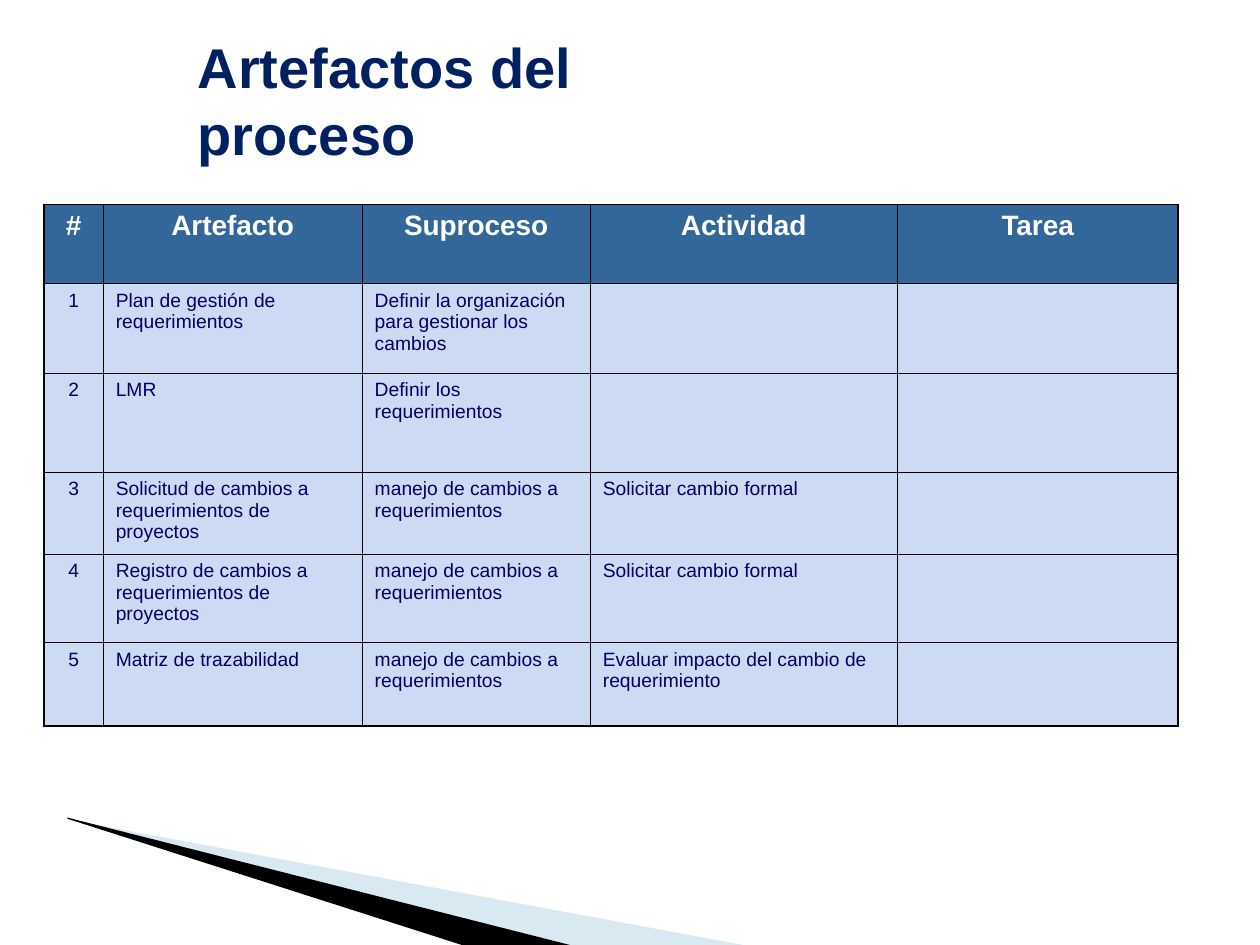
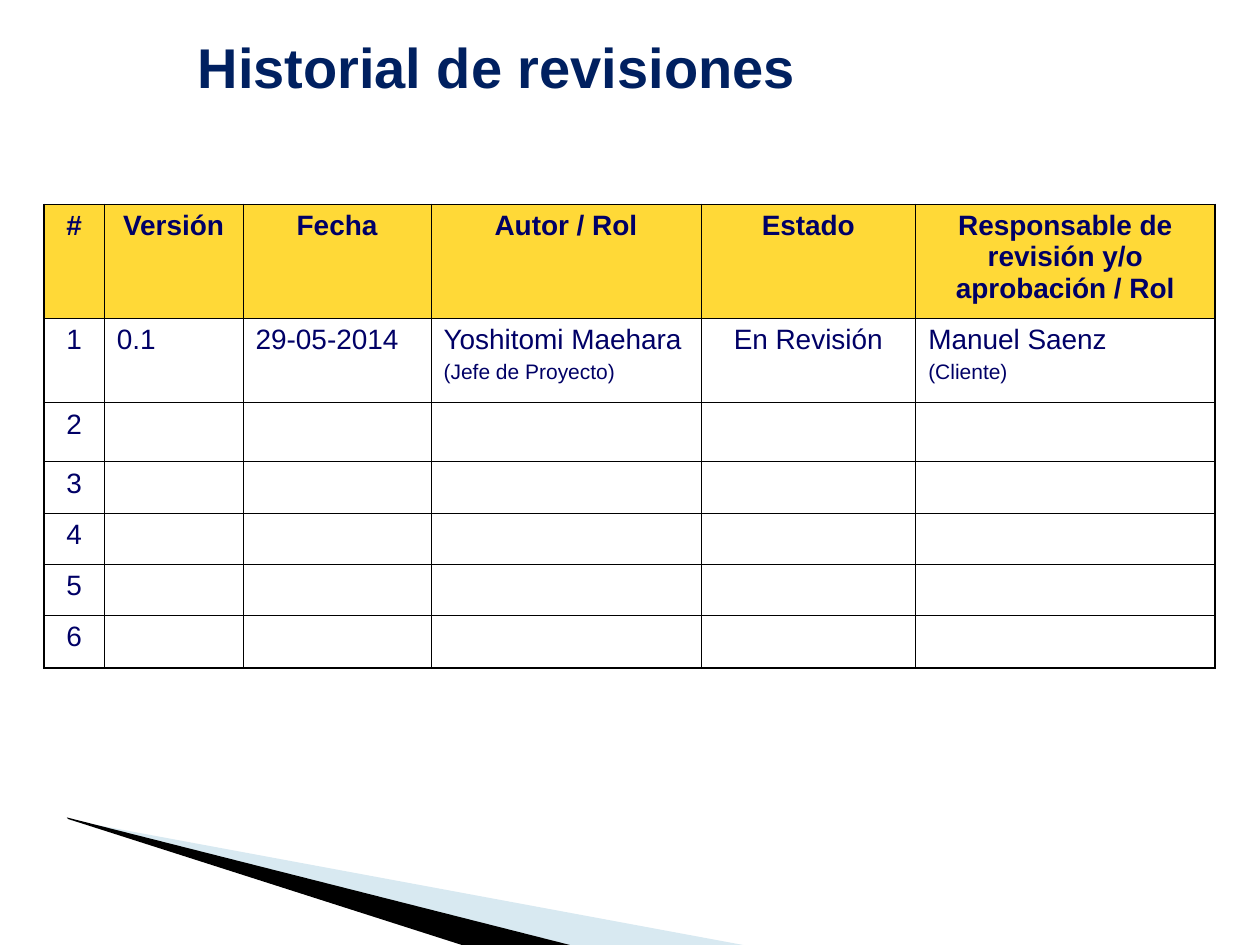
"""Build the process artefacts and revision history slides."""
import lxml.etree
import pptx
import pptx.dml.color
import pptx.enum.text
import pptx.oxml.ns
import pptx.util

Cm, Pt = pptx.util.Cm, pptx.util.Pt
ALIGN = pptx.enum.text.PP_ALIGN
COLORS = {
    "title": "002060", "text": "000066", "white": "FFFFFF", "black": "000000",
    "steel": "336699", "ice": "CDDAF3", "yellow": "FFD937", "mist": "D8E9F1",
}
FONT = "Arial"
TITLE_FORMAT = {"name": FONT, "size": Pt(32), "bold": True}
HEADER_FORMAT = {"name": FONT, "size": Pt(16), "bold": True}
TITLE_FRAME = {
    "word_wrap": False,
    "auto_size": pptx.enum.text.MSO_AUTO_SIZE.NONE,
    "vertical_anchor": pptx.enum.text.MSO_ANCHOR.TOP,
}
TITLE_BOX = {"left": Cm(3.73), "top": Cm(0.53), "width": Cm(12.75), "height": Cm(1.63)}
SLIDE_WIDTH, SLIDE_HEIGHT = 25.4, 19.05
TABLE_LEFT, TABLE_TOP = 0.89, 4.12
OUTER_BORDER, INNER_BORDER = Pt(1.08), Pt(0.45)
WEDGES = {
    "mist": [(1.4, 16.53), (14.98, SLIDE_HEIGHT), (11.48, SLIDE_HEIGHT)],
    "black": [(1.35, 16.48), (11.49, SLIDE_HEIGHT), (9.31, SLIDE_HEIGHT), (1.37, 16.51)],
}

ARTEFACTS = {
    "title": "Artefactos del proceso",
    "columns": [1.19, 5.22, 4.6, 6.19, 5.66],
    "heights": [1.6, 1.8, 2.0, 1.65, 1.78, 1.69],
    "header_fill": "steel", "header_text": "white", "body_fill": "ice",
    "body_size": 11, "centred": {0},
    "rows": [
        ["#", "Artefacto", "Suproceso", "Actividad", "Tarea"],
        ["1", "Plan de gestión de requerimientos",
         "Definir la organización para gestionar los cambios", "", ""],
        ["2", "LMR", "Definir los requerimientos", "", ""],
        ["3", "Solicitud de cambios a requerimientos de proyectos",
         "manejo de cambios a requerimientos", "Solicitar cambio formal", ""],
        ["4", "Registro de cambios a requerimientos de proyectos",
         "manejo de cambios a requerimientos", "Solicitar cambio formal", ""],
        ["5", "Matriz de trazabilidad", "manejo de cambios a requerimientos",
         "Evaluar impacto del cambio de requerimiento", ""],
    ],
}
REVISIONS = {
    "title": "Historial de revisiones",
    "columns": [1.21, 2.8, 3.79, 5.44, 4.33, 6.03],
    "heights": [2.29, 1.71, 1.19, 1.02, 1.02, 1.02, 1.07],
    "header_fill": "yellow", "header_text": "text", "body_fill": None,
    "body_size": 16, "centred": {0, 4},
    "rows": [
        ["#", "Versión", "Fecha", "Autor / Rol", "Estado",
         "Responsable de revisión y/o aprobación / Rol"],
        ["1", "0.1", "29-05-2014", "Yoshitomi Maehara\n(Jefe de Proyecto)",
         "En Revisión", "Manuel Saenz\n(Cliente)"],
        *[[str(number)] + [""] * 5 for number in range(2, 7)],
    ],
}


def rgb(color):
    """Return the colour with the given palette name."""
    return pptx.dml.color.RGBColor.from_string(COLORS[color])


def apply(target, values):
    """Set each attribute in values on the target."""
    for attribute, value in values.items():
        setattr(target, attribute, value)


def style_font(font, color, values):
    """Apply a text format and a palette colour to a font."""
    apply(font, values)
    font.color.rgb = rgb(color)


def add_title(slide, text):
    """Fill and place the title placeholder."""
    title = slide.shapes.title
    apply(title, TITLE_BOX)
    title.text_frame.text = text
    apply(title.text_frame, TITLE_FRAME)
    heading = title.text_frame.paragraphs[0]
    heading.alignment = ALIGN.LEFT
    style_font(heading.runs[0].font, "title", TITLE_FORMAT)


def add_wedge(slide, color, points):
    """Draw one filled wedge of the bottom decoration."""
    corners = [(Cm(x), Cm(y)) for x, y in points]
    outline = slide.shapes.build_freeform(*corners[0])
    outline.add_line_segments(corners[1:], close=True)
    wedge = outline.convert_to_shape()
    wedge.fill.solid()
    wedge.fill.fore_color.rgb = rgb(color)
    wedge.line.fill.background()
    wedge.shadow.inherit = False


def set_borders(cell, on_edge):
    """Draw the four cell borders, thicker where they lie on the table edge."""
    properties = cell._tc.get_or_add_tcPr()
    qn = pptx.oxml.ns.qn
    for side in "LRTB":
        width = OUTER_BORDER if on_edge[side] else INNER_BORDER
        border = lxml.etree.SubElement(properties, qn(f"a:ln{side}"), w=str(int(width)))
        fill = lxml.etree.SubElement(border, qn("a:solidFill"))
        lxml.etree.SubElement(fill, qn("a:srgbClr"), val=COLORS["black"])


def fill_cell(cell, color):
    """Give a cell a palette fill, or none."""
    if color is None:
        cell.fill.background()
    else:
        cell.fill.solid()
        cell.fill.fore_color.rgb = rgb(color)


def write_cell(cell, text, color, values, centred):
    """Write the cell text, with any second line as a smaller role."""
    cell.text = text
    for index, paragraph in enumerate(cell.text_frame.paragraphs):
        paragraph.alignment = ALIGN.CENTER if centred else ALIGN.LEFT
        for run in paragraph.runs:
            style_font(run.font, color, values)
            if index:
                run.font.size = Pt(12)
                paragraph.space_before = Pt(3)


def add_grid(slide, content):
    """Add the table with its header, body and borders."""
    rows, columns, heights = content["rows"], content["columns"], content["heights"]
    table = slide.shapes.add_table(
        len(rows), len(columns), Cm(TABLE_LEFT), Cm(TABLE_TOP),
        Cm(sum(columns)), Cm(sum(heights))).table
    apply(table, {"first_row": False, "horz_banding": False})
    for column, width in zip(table.columns, columns):
        column.width = Cm(width)
    for row, height in zip(table.rows, heights):
        row.height = Cm(height)
    body_format = {"name": FONT, "size": Pt(content["body_size"]), "bold": False}
    for r, texts in enumerate(rows):
        header = r == 0
        for c, text in enumerate(texts):
            cell = table.cell(r, c)
            set_borders(cell, {"L": c == 0, "R": c == len(columns) - 1,
                               "T": header, "B": r == len(rows) - 1})
            fill_cell(cell, content["header_fill" if header else "body_fill"])
            write_cell(cell, text, content["header_text"] if header else "text",
                       HEADER_FORMAT if header else body_format,
                       header or c in content["centred"])


def main():
    """Build and save the presentation."""
    deck = pptx.Presentation()
    deck.slide_width, deck.slide_height = Cm(SLIDE_WIDTH), Cm(SLIDE_HEIGHT)
    for content in (ARTEFACTS, REVISIONS):
        slide = deck.slides.add_slide(deck.slide_layouts.get_by_name("Title Only"))
        for color, points in WEDGES.items():
            add_wedge(slide, color, points)
        add_title(slide, content["title"])
        add_grid(slide, content)
    deck.save("out.pptx")


if __name__ == "__main__":
    main()
